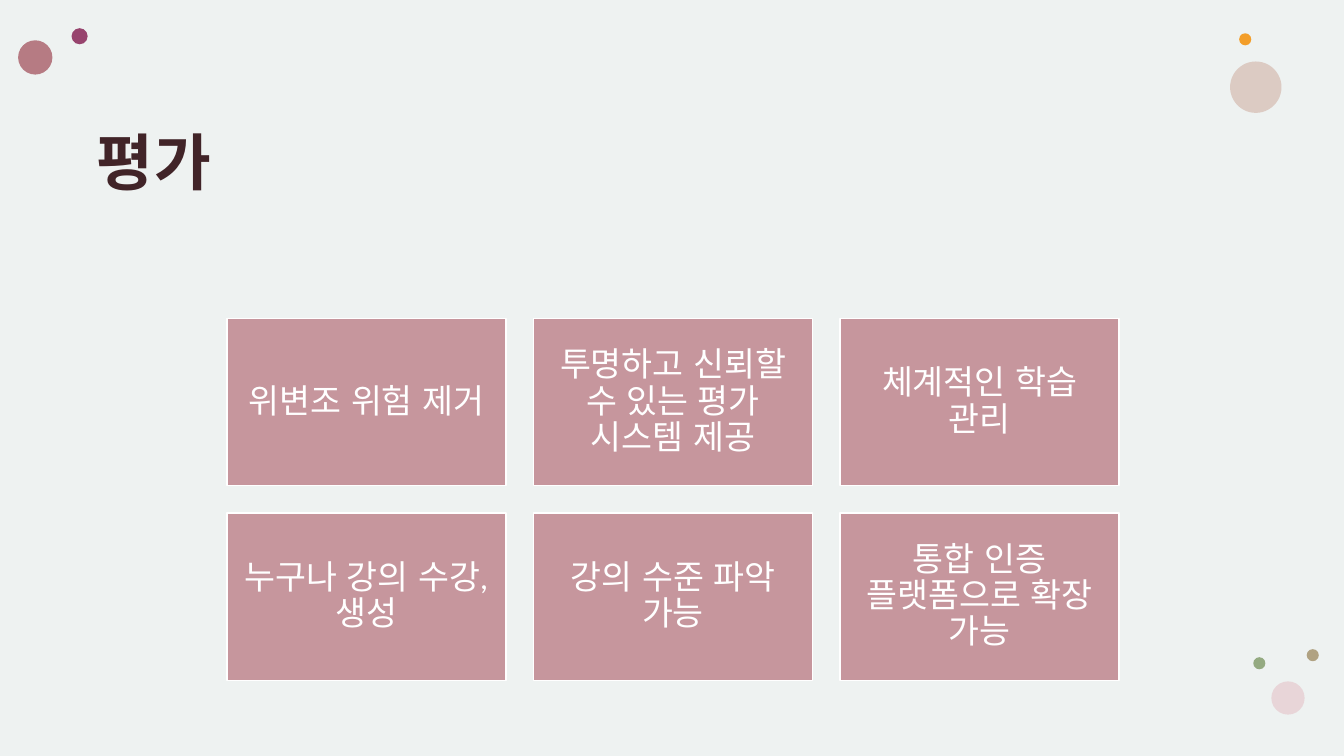
from dataclasses import dataclass

from lxml.etree import SubElement
from pptx import Presentation
from pptx.dml.color import RGBColor
from pptx.enum.lang import MSO_LANGUAGE_ID as Language
from pptx.enum.shapes import MSO_SHAPE as Shape
from pptx.enum.text import MSO_ANCHOR as Anchor, MSO_AUTO_SIZE as AutoSize, PP_ALIGN as Align
from pptx.oxml.ns import qn
from pptx.util import Pt

EMU_PER_PX = 9144


def px(length):
    """Turn px, a hundredth of an inch each, into EMU."""
    return length * EMU_PER_PX


@dataclass(frozen=True)
class Theme:
    """Colours, font and type sizes of the slide."""
    font: str = "Calibri"
    background: str = "EEF2F1"
    heading: str = "412428"
    card: str = "C6969D"
    white: str = "FFFFFF"
    heading_size: int = 44
    card_size: int = 24


class SlideBuilder:
    """Draw styled elements on the current slide."""

    def __init__(self, slide, theme):
        self.slide = slide
        self.theme = theme
        fill = slide.background.fill
        fill.solid()
        fill.fore_color.rgb = RGBColor.from_string(theme.background)

    def label(self, shape, text, size, color, align, anchor, spacing, inset):
        """Put one formatted paragraph in a shape."""
        frame = shape.text_frame
        frame.text = text
        frame.word_wrap = True
        frame.auto_size = AutoSize.NONE
        frame.vertical_anchor = anchor
        frame.margin_left = frame.margin_top = frame.margin_right = frame.margin_bottom = px(inset)
        para = frame.paragraphs[0]
        para.alignment = align
        para.line_spacing = spacing
        span = para.runs[0]
        span.font.name = self.theme.font
        span.font.size = Pt(size)
        span.font.color.rgb = RGBColor.from_string(color)
        span.font.language_id = Language.KOREAN
        return span

    def title(self, text, left, top, width, height):
        """Place the title placeholder."""
        title = self.slide.shapes.title
        title.left, title.top, title.width, title.height = map(px, (left, top, width, height))
        span = self.label(title, text, self.theme.heading_size, self.theme.heading,
                          Align.LEFT, Anchor.TOP, 1.1, 12)
        span.font.bold = True
        span.font._element.set("spc", "100")

    def shape(self, kind, left, top, width, height, color):
        """Add a flat filled shape without an outline."""
        shape = self.slide.shapes.add_shape(kind, *map(px, (left, top, width, height)))
        shape.shadow.inherit = False
        shape.fill.solid()
        shape.fill.fore_color.rgb = RGBColor.from_string(color)
        shape.line.fill.background()
        return shape

    def dot(self, left, top, size, color, opacity=100):
        """Add a decorative circle."""
        circle = self.shape(Shape.OVAL, left, top, size, size, color)
        if opacity < 100:
            tint = circle._element.spPr.find(qn("a:solidFill")).find(qn("a:srgbClr"))
            SubElement(tint, qn("a:alpha")).set("val", str(opacity * 1000))

    def card(self, text, left, top, width, height):
        """Add a card with centred text."""
        card = self.shape(Shape.RECTANGLE, left, top, width, height, self.theme.card)
        card.line.color.rgb = RGBColor.from_string(self.theme.white)
        card.line.width = Pt(1)
        self.label(card, text, self.theme.card_size, self.theme.white,
                   Align.CENTER, Anchor.MIDDLE, 0.9, 10)


DOTS = [
    (71, 28, 16, "97446E"),
    (1220, 61, 51, "D6BCB2", 72),
    (1229, 33, 12, "F39E29"),
    (18, 40, 34, "B67B83"),
    (1296, 644, 12, "B0A282"),
    (1261, 676, 33, "E8D5D8"),
    (1243, 652, 12, "94AA81"),
]
BENEFITS = [
    "위변조 위험 제거",
    "투명하고 신뢰할 수 있는 평가 시스템 제공",
    "체계적인 학습 관리",
    "누구나 강의 수강, 생성",
    "강의 수준 파악 가능",
    "통합 인증 플랫폼으로 확장 가능",
]
COLUMNS = 3
GRID_LEFT, GRID_TOP = 225, 316
CARD_WIDTH, CARD_HEIGHT, GAP = 277, 166, 27


def main():
    """Build and save the evaluation slide."""
    deck = Presentation()
    deck.slide_width, deck.slide_height = px(1333), px(750)
    page = SlideBuilder(deck.slides.add_slide(deck.slide_layouts[5]), Theme())
    for dot in DOTS:
        page.dot(*dot)
    page.title("평가", 84, 104, 1178, 197)
    for index, benefit in enumerate(BENEFITS):
        row, column = divmod(index, COLUMNS)
        page.card(benefit, GRID_LEFT + column * (CARD_WIDTH + GAP),
                  GRID_TOP + row * (CARD_HEIGHT + GAP), CARD_WIDTH, CARD_HEIGHT)
    deck.save("out.pptx")


if __name__ == "__main__":
    main()
